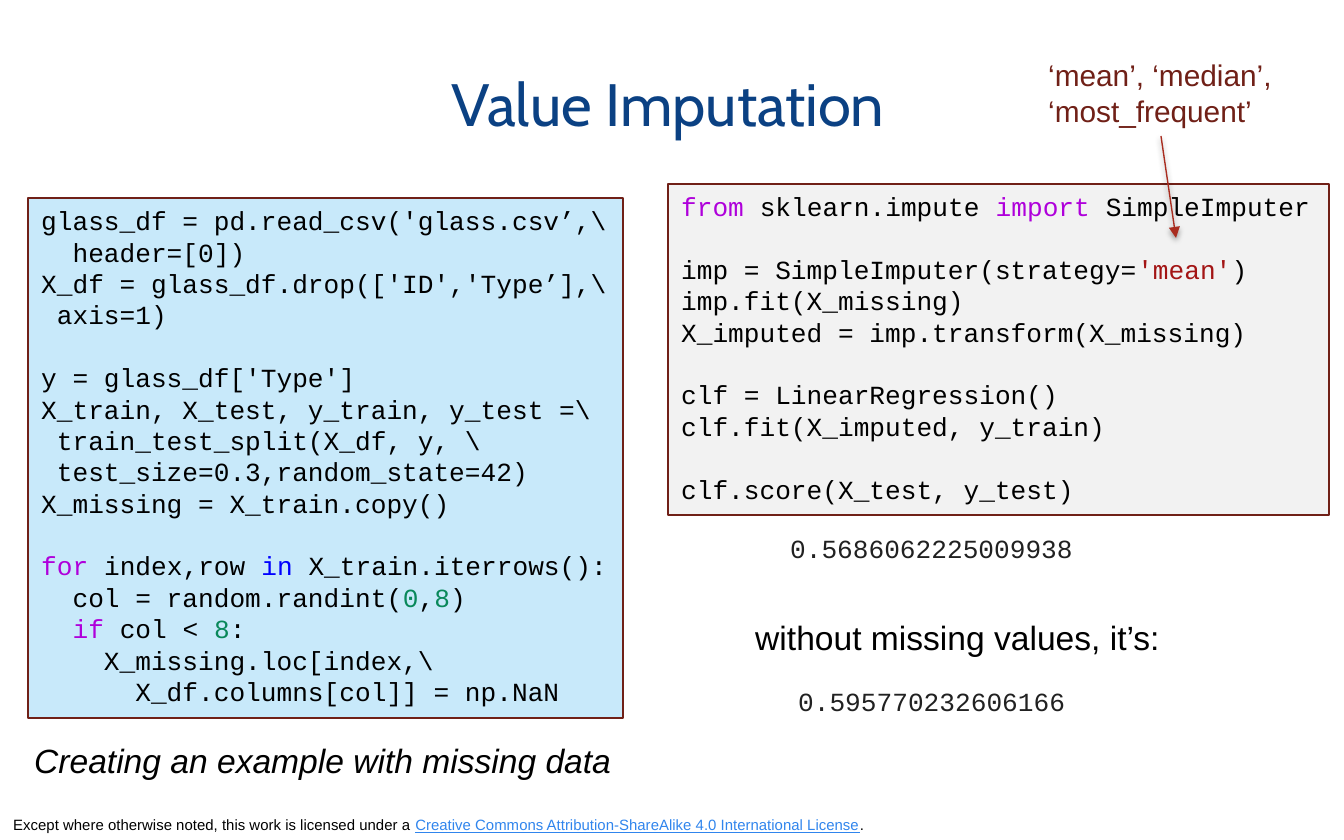
from dataclasses import dataclass

from lxml.etree import SubElement
from pptx import Presentation
from pptx.dml.color import RGBColor
from pptx.enum.shapes import MSO_CONNECTOR as Connector, MSO_SHAPE as Shape
from pptx.enum.text import MSO_ANCHOR as Anchor, PP_ALIGN as Align
from pptx.oxml.ns import qn
from pptx.util import Pt

PX = 914400 / 134.4


def px(*lengths):
    return [round(length * PX) for length in lengths]


@dataclass(frozen=True)
class Theme:
    sans: str = "Arial"
    display: str = "Cabin"
    mono: str = "Courier New"
    navy: str = "0B4183"
    black: str = "000000"
    output: str = "212121"
    maroon: str = "702017"
    arrow: str = "A92C1F"
    link: str = "3085ED"
    keyword: str = "AF00DB"
    operator: str = "0000FF"
    string: str = "A31515"
    number: str = "09885A"
    panel_blue: str = "C8E9FA"
    panel_gray: str = "F2F2F2"
    title_size: int = 32
    body_size: int = 18
    note_size: int = 16
    code_size: int = 14
    footer_size: int = 8
    code_line: float = 16.8
    hairline: float = 0.75


class SlideBuilder:
    def __init__(self, slide, theme):
        self.shapes = slide.shapes
        self.theme = theme

    def set_lines(self, frame, lines, font, size, color, italic=False, align=Align.LEFT):
        gap = 0
        first = True
        for line in lines:
            if not line:
                gap = self.theme.code_line
                continue
            paragraph = frame.paragraphs[0] if first else frame.add_paragraph()
            first = False
            paragraph.alignment = align
            paragraph.space_before = Pt(gap)
            gap = 0
            paragraph.font.name = font
            paragraph.font.size = Pt(size)
            paragraph.font.italic = italic
            paragraph.font.color.rgb = RGBColor.from_string(color)
            for part in [line] if isinstance(line, str) else line:
                words, accent = (part, None) if isinstance(part, str) else part
                run = paragraph.add_run()
                run.text = words
                if accent:
                    run.font.color.rgb = RGBColor.from_string(accent)
                    run.font.underline = True if accent == self.theme.link else None

    def text(self, box, lines, font, size, color, wrap=False, anchor=Anchor.TOP, **style):
        frame = self.shapes.add_textbox(*px(*box)).text_frame
        frame.word_wrap = wrap
        frame.vertical_anchor = anchor
        self.set_lines(frame, lines, font, size, color, **style)

    def code(self, box, fill, lines):
        theme = self.theme
        panel = self.shapes.add_shape(Shape.RECTANGLE, *px(*box))
        panel.shadow.inherit = False
        panel.fill.solid()
        panel.fill.fore_color.rgb = RGBColor.from_string(fill)
        panel.line.color.rgb = RGBColor.from_string(theme.maroon)
        panel.line.width = Pt(theme.hairline)
        panel.text_frame.word_wrap = True
        panel.text_frame.vertical_anchor = Anchor.TOP
        self.set_lines(panel.text_frame, lines, theme.mono, theme.code_size, theme.black)

    def arrow(self, start, end):
        theme = self.theme
        pointer = self.shapes.add_connector(Connector.STRAIGHT, *px(*start, *end))
        pointer.line.color.rgb = RGBColor.from_string(theme.arrow)
        pointer.line.width = Pt(theme.hairline)
        outline = pointer._element.spPr
        SubElement(outline.get_or_add_ln(), qn("a:tailEnd"), type="triangle")
        effects = SubElement(outline, qn("a:effectLst"))
        shadow = SubElement(effects, qn("a:outerShdw"), blurRad=str(int(Pt(3.1))),
                            dist=str(int(Pt(1.6))), dir="5400000", rotWithShape="0")
        tint = SubElement(shadow, qn("a:srgbClr"), val=theme.black)
        SubElement(tint, qn("a:alpha"), val="38000")


def main():
    theme = Theme()
    deck = Presentation()
    deck.slide_width, deck.slide_height = px(1344, 840)
    page = SlideBuilder(deck.slides.add_slide(deck.slide_layouts[6]), theme)

    keyword, number = theme.keyword, theme.number
    preparation = [
        "glass_df = pd.read_csv('glass.csv’,\\",
        "  header=[0])",
        "X_df = glass_df.drop(['ID','Type’],\\",
        " axis=1)",
        "",
        "y = glass_df['Type']",
        "X_train, X_test, y_train, y_test =\\",
        " train_test_split(X_df, y, \\",
        " test_size=0.3,random_state=42)",
        "X_missing = X_train.copy()",
        "",
        [("for", keyword), " index,row ", ("in", theme.operator), " X_train.iterrows():"],
        ["  col = random.randint(", ("0", number), ",", ("8", number), ")"],
        ["  ", ("if", keyword), " col < ", ("8", number), ":"],
        "    X_missing.loc[index,\\",
        "      X_df.columns[col]] = np.NaN",
    ]
    imputation = [
        [("from", keyword), " sklearn.impute ", ("import", keyword), " SimpleImputer"],
        "",
        ["imp = SimpleImputer(strategy=", ("'mean'", theme.string), ")"],
        "imp.fit(X_missing)",
        "X_imputed = imp.transform(X_missing)",
        "",
        "clf = LinearRegression()",
        "clf.fit(X_imputed, y_train)",
        "",
        "clf.score(X_test, y_test)",
    ]
    license_notice = [
        "Except where otherwise noted, this work is licensed under a ",
        ("Creative Commons Attribution-ShareAlike 4.0 International License", theme.link),
        ".",
    ]

    page.text((0, 809, 1008, 31), [license_notice], theme.sans, theme.footer_size,
              theme.black, wrap=True, anchor=Anchor.BOTTOM)
    page.text((68, 23, 1200, 160), ["Value Imputation"], theme.display, theme.title_size,
              theme.navy, wrap=True, anchor=Anchor.MIDDLE, align=Align.CENTER)
    page.code((668, 184, 661, 331), theme.panel_gray, imputation)
    page.text((777, 526, 312, 45), ["0.5686062225009938"], theme.mono, theme.code_size,
              theme.output)
    page.text((742, 610, 437, 54), ["without missing values, it’s:"], theme.sans,
              theme.body_size, theme.black)
    page.text((785, 679, 296, 45), ["0.595770232606166"], theme.mono, theme.code_size,
              theme.output)
    page.text((1035, 50, 253, 86), ["‘mean’, ‘median’,", "‘most_frequent’"], theme.sans,
              theme.note_size, theme.maroon)
    page.arrow((1161, 136), (1176, 238))
    page.code((28, 198, 595, 520), theme.panel_blue, preparation)
    page.text((21, 733, 610, 54), ["Creating an example with missing data"], theme.sans,
              theme.body_size, theme.black, italic=True)

    deck.save("out.pptx")


if __name__ == "__main__":
    main()
